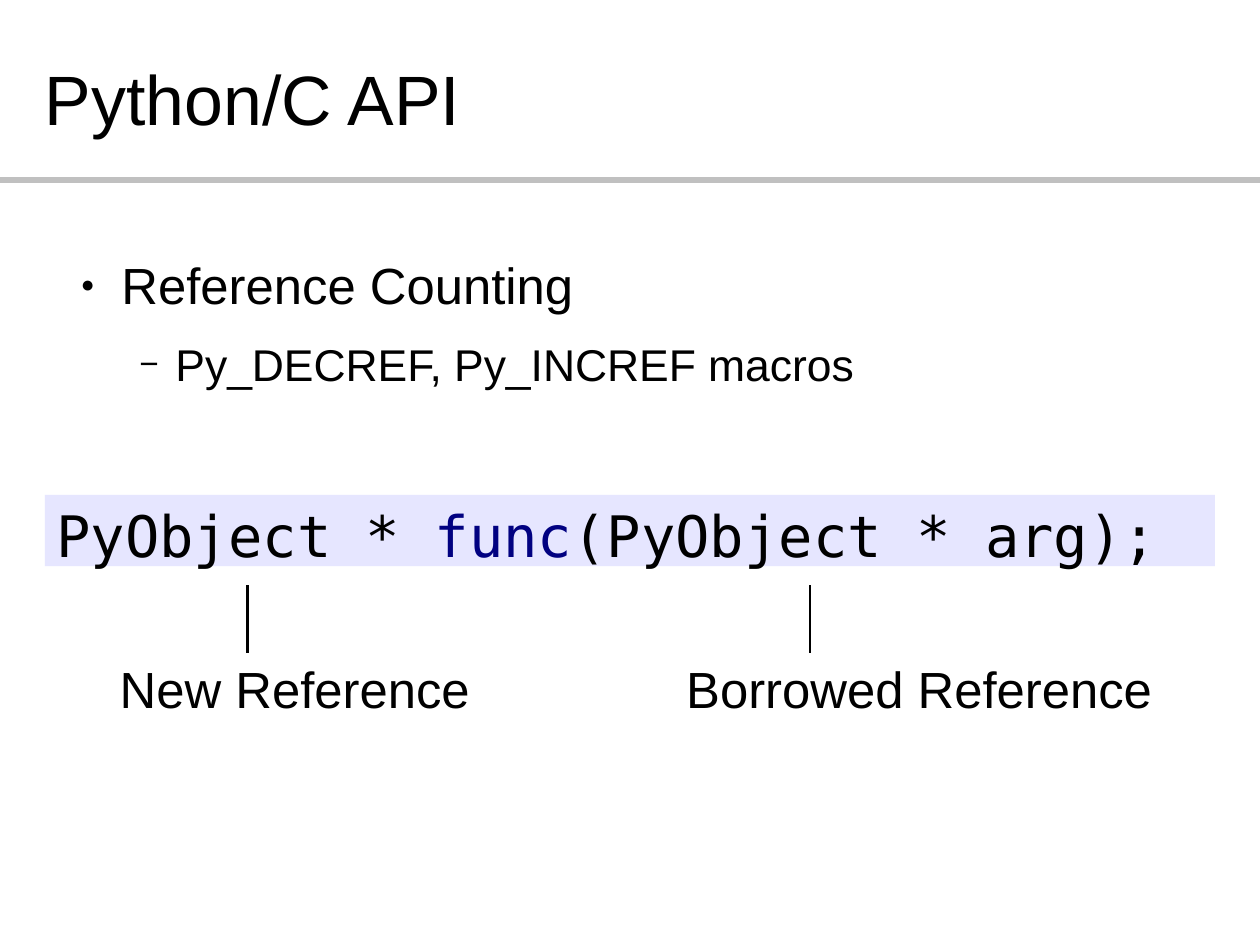
import dataclasses

import lxml.etree
import pptx
import pptx.dml.color
import pptx.enum.shapes
import pptx.enum.text
import pptx.oxml.ns
import pptx.util

Pt = pptx.util.Pt
qn = pptx.oxml.ns.qn
ANCHOR = pptx.enum.text.MSO_ANCHOR
ALIGN = pptx.enum.text.PP_ALIGN

# Page and grid: one cell is a square centimetre
COLS, ROWS = 28, 21
WIDE, HIGH = pptx.util.Cm(COLS), pptx.util.Cm(ROWS)

HUES = {
    "ink": "000000",
    "rule": "C0C0C0",
    "code": "E6E6FF",
    "name": "010181",
    "page": "FFFFFF",
}
SANS, MONO = "Arial", "DejaVu Sans Mono"


@dataclasses.dataclass
class Box:
    col: float
    row: float
    cols: float
    rows: float


@dataclasses.dataclass
class Point:
    text: str
    size: float
    level: int
    mark: str
    scale: int
    left: float
    hang: float
    after: float


@dataclasses.dataclass
class Note:
    text: str
    box: Box
    tick: float


TITLE = Box(1, 0.84, 26, 2.67)
BODY = Box(1.5, 5.64, 25.1, 3.35)
CODE = Box(1, 11, 26, 1.58)
POINTS = [
    Point("Reference Counting", 32, 0, "●", 45, 1.2, 0.9, 14.2),
    Point("Py_DECREF, Py_INCREF macros", 28, 1, "−", 75, 2.4, 0.8, 11.3),
]
NOTES = [
    Note("New Reference", Box(2.41, 14.5, 8.3, 1.52), 5.5),
    Note("Borrowed Reference", Box(15, 14.5, 11.5, 1.52), 18),
]
PARTS = [("PyObject * ", "ink"), ("func", "name"), ("(PyObject * arg);", "ink")]


def across(cols: float) -> int:
    return round(WIDE * cols / COLS)


def down(rows: float) -> int:
    return round(HIGH * rows / ROWS)


def spot(box: Box) -> tuple[int, int, int, int]:
    return across(box.col), down(box.row), across(box.cols), down(box.rows)


def hue(name: str) -> pptx.dml.color.RGBColor:
    return pptx.dml.color.RGBColor.from_string(HUES[name])


def style(para, size: float, face: str = SANS) -> None:
    para.alignment = ALIGN.LEFT
    para.font.size = Pt(size)
    para.font.name = face
    para.font.color.rgb = hue("ink")


def frame(shape, pad: float = 0, anchor=ANCHOR.TOP):
    text = shape.text_frame
    text.word_wrap = True
    text.auto_size = pptx.enum.text.MSO_AUTO_SIZE.NONE
    text.vertical_anchor = anchor
    text.margin_left = text.margin_right = pptx.util.Inches(2 * pad)
    text.margin_top = text.margin_bottom = pptx.util.Inches(pad)
    return text


def line(slide, start: tuple, end: tuple, name: str, width: float) -> None:
    ends = across(start[0]), down(start[1]), across(end[0]), down(end[1])
    kind = pptx.enum.shapes.MSO_CONNECTOR.STRAIGHT
    link = slide.shapes.add_connector(kind, *ends)
    link.line.color.rgb = hue(name)
    link.line.width = Pt(width)
    props = link._element.find(qn("p:spPr"))
    lxml.etree.SubElement(props, qn("a:effectLst"))


def bullet(para, point: Point) -> None:
    props = para._p.get_or_add_pPr()
    props.set("marL", str(across(point.left)))
    props.set("indent", str(-across(point.hang)))
    shade = lxml.etree.SubElement(props, qn("a:buClr"))
    lxml.etree.SubElement(shade, qn("a:srgbClr"), val=HUES["ink"])
    lxml.etree.SubElement(props, qn("a:buSzPct"), val=str(point.scale * 1000))
    lxml.etree.SubElement(props, qn("a:buFont"), typeface=SANS)
    lxml.etree.SubElement(props, qn("a:buChar"), char=point.mark)


def head(slide) -> None:
    title = slide.shapes.title
    title.left, title.top, title.width, title.height = spot(TITLE)
    text = frame(title, anchor=ANCHOR.MIDDLE)
    text.text = "Python/C API"
    style(text.paragraphs[0], 44)


def body(slide) -> None:
    text = frame(slide.shapes.add_textbox(*spot(BODY)))
    for i, point in enumerate(POINTS):
        para = text.add_paragraph() if i else text.paragraphs[0]
        para.text = point.text
        para.level = point.level
        para.space_after = Pt(point.after)
        bullet(para, point)
        style(para, point.size)


def code(slide) -> None:
    kind = pptx.enum.shapes.MSO_SHAPE.RECTANGLE
    band = slide.shapes.add_shape(kind, *spot(CODE))
    band.shadow.inherit = False
    band.fill.solid()
    band.fill.fore_color.rgb = hue("code")
    band.line.fill.background()
    para = frame(band, 0.05).paragraphs[0]
    style(para, 36, MONO)
    for words, name in PARTS:
        run = para.add_run()
        run.text = words
        run.font.color.rgb = hue(name)


def label(slide, note: Note) -> None:
    para = frame(slide.shapes.add_textbox(*spot(note.box)), 0.05).paragraphs[0]
    para.text = note.text
    style(para, 32)
    line(slide, (note.tick, 13), (note.tick, 14.5), "ink", 1.42)


def main() -> None:
    deck = pptx.Presentation()
    deck.slide_width, deck.slide_height = WIDE, HIGH
    slide = deck.slides.add_slide(deck.slide_layouts[5])
    slide.background.fill.solid()
    slide.background.fill.fore_color.rgb = hue("page")

    # Heading and rule
    line(slide, (0, 4), (COLS, 4), "rule", 4.25)
    head(slide)

    # Bullets, code line and its notes
    body(slide)
    code(slide)
    for note in NOTES:
        label(slide, note)
    deck.save("out.pptx")


if __name__ == "__main__":
    main()
